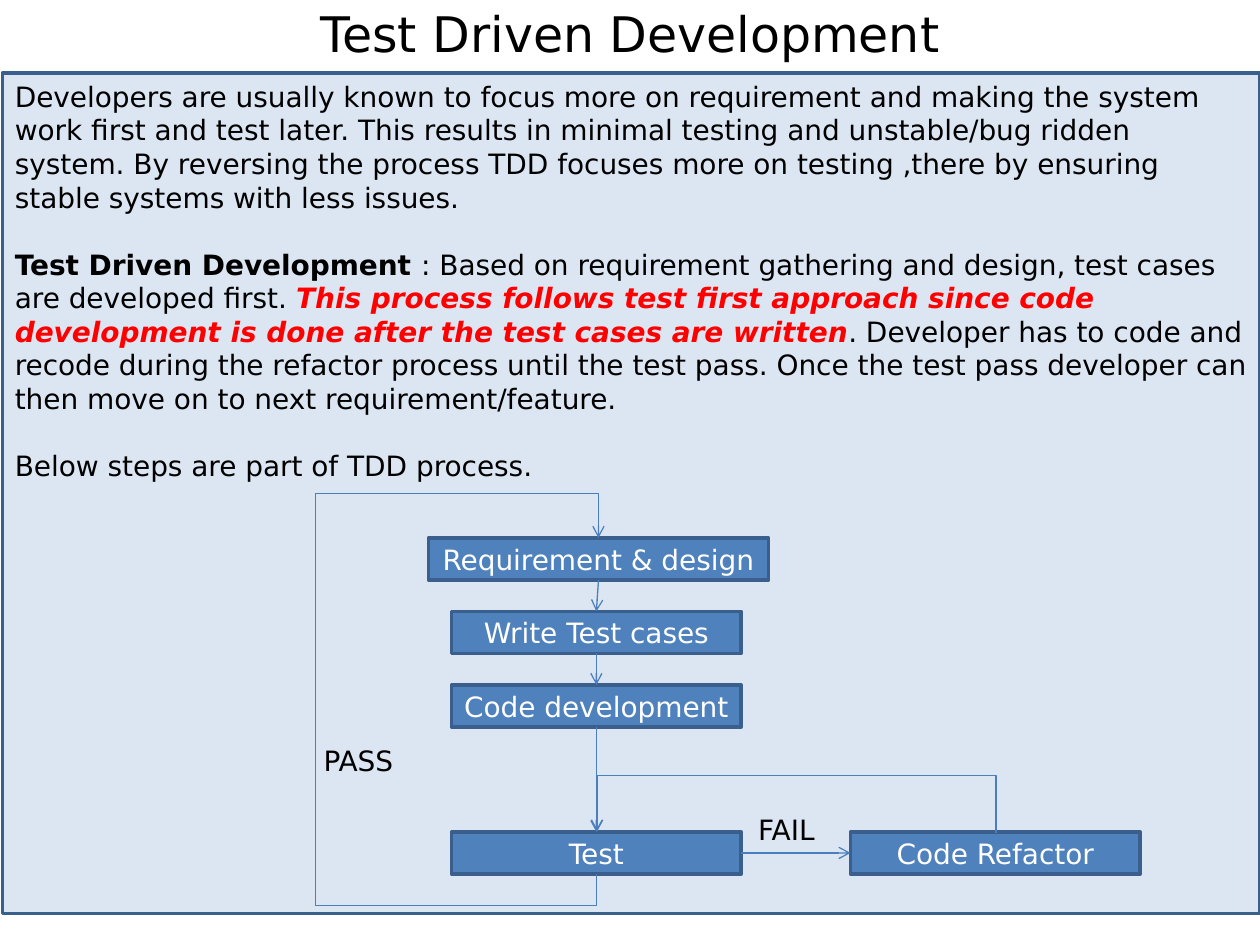
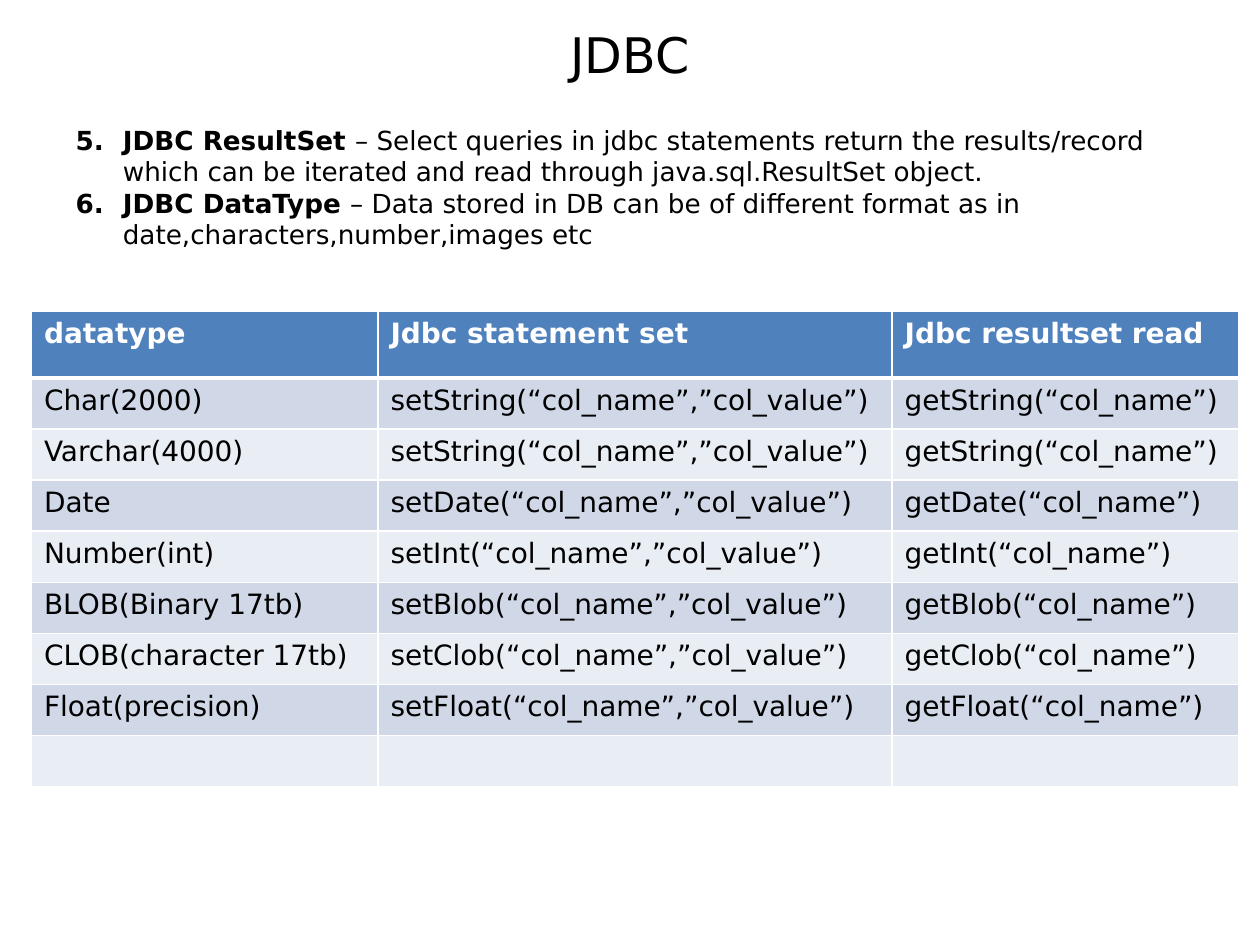
from dataclasses import dataclass

import pptx
import pptx.dml.color
import pptx.enum.shapes
import pptx.enum.text
import pptx.oxml
import pptx.oxml.ns
import pptx.util

Pt = pptx.util.Pt
Rgb = pptx.dml.color.RGBColor.from_string
Align = pptx.enum.text.PP_ALIGN
Anchor = pptx.enum.text.MSO_ANCHOR
Fit = pptx.enum.text.MSO_AUTO_SIZE
Link = pptx.enum.shapes.MSO_CONNECTOR
qn = pptx.oxml.ns.qn
TOP, LEFT, BOTTOM, RIGHT = range(4)


@dataclass(frozen=True)
class Theme:
    font: str = "DejaVu Sans"
    black: str = "000000"
    white: str = "FFFFFF"
    red: str = "FF0000"
    blue: str = "4F81BD"
    edge: str = "3A5F8C"
    arrow: str = "4B7EBC"
    panel: str = "DCE6F2"
    bands: tuple = ("D0D8E8", "E9EDF4")
    title: float = 28
    text: float = 16
    list: float = 15


THEME = Theme()

INTRO = [
    [("Developers are usually known to focus more on requirement and making the "
      "system work first and test later. This results in minimal testing and "
      "unstable/bug ridden system. By reversing the process TDD focuses more on "
      "testing ,there by ensuring stable systems with less issues.", {})],
    [("Test Driven Development ", {"bold": True}),
     (": Based on requirement gathering and design, test cases are developed first. ", {}),
     ("This process follows test first approach since code development is done "
      "after the test cases are written",
      {"color": THEME.red, "bold": True, "slant": True}),
     (". Developer has to code and recode during the refactor process until the "
      "test pass. Once the test pass developer can then move on to next "
      "requirement/feature.", {})],
    [("Below steps are part of TDD process.", {})],
]

TOPICS = [
    ("JDBC ResultSet ",
     "– Select queries in jdbc statements return the results/record which can be "
     "iterated and read through java.sql.ResultSet object."),
    ("JDBC DataType ",
     "– Data stored in DB can be of different format as in "
     "date,characters,number,images etc"),
]

HEADS = ("datatype", "Jdbc statement set", "Jdbc resultset read")
TYPES = [
    ("Char(2000)", "String"),
    ("Varchar(4000)", "String"),
    ("Date", "Date"),
    ("Number(int)", "Int"),
    ("BLOB(Binary 17tb)", "Blob"),
    ("CLOB(character 17tb)", "Clob"),
    ("Float(precision)", "Float"),
]


def points(*sizes):
    return [Pt(size) for size in sizes]


def add_run(para, text, size=THEME.text, color=THEME.black, bold=False, slant=False):
    run = para.add_run()
    run.text = text
    font = run.font
    font.name, font.size = THEME.font, Pt(size)
    font.bold, font.italic = bold, slant
    font.color.rgb = Rgb(color)


def next_para(frame, index):
    return frame.paragraphs[0] if index == 0 else frame.add_paragraph()


def move(shape, *place):
    shape.left, shape.top, shape.width, shape.height = points(*place)


def new_slide(deck, layout, title, top):
    slide = deck.slides.add_slide(deck.slide_layouts.get_by_name(layout))
    head = slide.shapes.title
    move(head, 36, top, 648, 56.2)
    frame = head.text_frame
    frame.auto_size = Fit.NONE
    frame.vertical_anchor = Anchor.MIDDLE
    para = frame.paragraphs[0]
    para.alignment = Align.CENTER
    add_run(para, title, THEME.title)
    return slide


def add_box(slide, place, fill):
    box = slide.shapes.add_shape(
        pptx.enum.shapes.MSO_SHAPE.RECTANGLE, *points(*place))
    box.shadow.inherit = False
    box.fill.solid()
    box.fill.fore_color.rgb = Rgb(fill)
    box.line.color.rgb = Rgb(THEME.edge)
    box.line.width = Pt(2)
    return box


def add_panel(slide, place, paras):
    frame = add_box(slide, place, THEME.panel).text_frame
    frame.word_wrap = True
    frame.vertical_anchor = Anchor.TOP
    for index, runs in enumerate(paras):
        para = next_para(frame, index)
        para.alignment = Align.LEFT
        para.space_before = Pt(19.1 if index else 0)
        for text, style in runs:
            add_run(para, text, **style)


def add_step(slide, text, left, top, width=165.6):
    box = add_box(slide, (left, top, width, 24), THEME.blue)
    box.text_frame.vertical_anchor = Anchor.MIDDLE
    para = box.text_frame.paragraphs[0]
    para.alignment = Align.CENTER
    add_run(para, text, color=THEME.white)
    return box


def add_label(slide, text, *place):
    frame = slide.shapes.add_textbox(*points(*place)).text_frame
    frame.word_wrap = False
    frame.auto_size = Fit.SHAPE_TO_FIT_TEXT
    add_run(frame.paragraphs[0], text)


def add_arrow(slide, kind, *ends):
    arrow = slide.shapes.add_connector(kind, *points(*ends))
    arrow.line.color.rgb = Rgb(THEME.arrow)
    arrow.line.width = Pt(0.75)
    pptx.oxml.ns  # namespace map used by qn
    line = arrow.line._get_or_add_ln()
    line.append(line.makeelement(qn("a:tailEnd"), {"type": "arrow"}))
    props = arrow._element.spPr
    props.append(props.makeelement(qn("a:effectLst"), {}))
    return arrow


def join(slide, start, side, end, other):
    arrow = add_arrow(slide, Link.STRAIGHT, 0, 0, 0, 0)
    arrow.begin_connect(start, side)
    arrow.end_connect(end, other)


def add_loop(slide, start, end, lanes, turn, flips):
    """Draw a bent arrow that leaves upright; lanes are y, x, y ... in turn."""
    (x1, y1), (x2, y2) = start, end
    wide, high = abs(y2 - y1), abs(x2 - x1)
    left, top = (x1 + x2 - wide) / 2, (y1 + y2 - high) / 2
    arrow = add_arrow(slide, Link.ELBOW, left, top, left + wide, top + high)
    props = arrow._element.spPr
    frame = props.find(qn("a:xfrm"))
    frame.set("rot", str(turn * 60000))
    for flip in flips:
        frame.set(flip, "1")
    shape = props.find(qn("a:prstGeom"))
    shape.set("prst", f"bentConnector{len(lanes) + 2}")
    guides = shape.find(qn("a:avLst"))
    for index, lane in enumerate(lanes):
        first, last = (x1, x2) if index % 2 else (y1, y2)
        share = round((lane - first) / (last - first) * 100000)
        guides.append(guides.makeelement(
            qn("a:gd"), {"name": f"adj{index + 1}", "fmla": f"val {share}"}))


def add_list(slide, items, first):
    body = slide.placeholders[1]
    move(body, 36, 48.2, 648, 450)
    frame = body.text_frame
    frame.auto_size = Fit.NONE
    frame.vertical_anchor = Anchor.TOP
    frame.margin_top = Pt(22.6)
    for index, (name, text) in enumerate(items):
        para = next_para(frame, index)
        para.space_before = Pt(0)
        props = para._p.get_or_add_pPr()
        props.set("marL", str(Pt(27)))
        props.set("indent", str(Pt(-27)))
        props.append(props.makeelement(
            qn("a:buAutoNum"), {"type": "arabicPeriod", "startAt": str(first)}))
        add_run(para, name, THEME.list, bold=True)
        add_run(para, text, THEME.list)


def add_edge(props, side, width):
    line = props.makeelement(qn(f"a:ln{side}"), {"w": str(Pt(width))})
    fill = line.makeelement(qn("a:solidFill"), {})
    fill.append(fill.makeelement(qn("a:srgbClr"), {"val": THEME.white}))
    line.append(fill)
    props.append(line)


def fill_cell(cell, text, row):
    head = row == 0
    props = cell._tc.get_or_add_tcPr()
    for side in "LRTB":
        thick = (head and side == "B") or (row == 1 and side == "T")
        add_edge(props, side, 3 if thick else 1)
    cell.fill.solid()
    cell.fill.fore_color.rgb = Rgb(THEME.blue if head else THEME.bands[(row - 1) % 2])
    if text:
        add_run(cell.text_frame.paragraphs[0], text,
                color=THEME.white if head else THEME.black, bold=head)


def add_grid(slide, rows, widths, left, top):
    heights = [38.2] + [29.2] * (len(rows) - 1)
    grid = slide.shapes.add_table(
        len(rows), len(widths),
        *points(left, top, sum(widths), sum(heights))).table
    for column, width in zip(grid.columns, widths):
        column.width = Pt(width)
    for index, (row, height) in enumerate(zip(rows, heights)):
        grid.rows[index].height = Pt(height)
        for column, text in enumerate(row):
            fill_cell(grid.cell(index, column), text, index)


def draw_cycle(deck):
    slide = new_slide(deck, "Title Only", "Test Driven Development", -9.4)
    add_panel(slide, (1.4, 41.8, 718.6, 480.2), INTRO)

    design = add_step(slide, "Requirement & design", 244.8, 307.4, 194.4)
    cases = add_step(slide, "Write Test cases", 258, 349.4)
    code = add_step(slide, "Code development", 258, 391.4)
    test = add_step(slide, "Test", 258, 475.4)
    fix = add_step(slide, "Code Refactor", 486, 475.4)

    for upper, lower in ((design, cases), (cases, code), (code, test)):
        join(slide, upper, BOTTOM, lower, TOP)
    add_loop(slide, (340.8, 499.4), (342, 307.4), (517.6, 179.2, 282),
             90, ("flipH", "flipV"))
    join(slide, test, RIGHT, fix, LEFT)
    add_loop(slide, (569.2, 476.2), (341.2, 475.2), (442.8,), 270, ("flipV",))

    add_label(slide, "PASS", 177.8, 421.2, 56.9, 26.6)
    add_label(slide, "FAIL", 426.2, 460.8, 49.7, 26.6)


def draw_types(deck):
    slide = new_slide(deck, "Title and Content", "JDBC", 2.9)
    add_list(slide, TOPICS, 5)
    calls = [(name, f"set{kind}(“col_name”,”col_value”)", f"get{kind}(“col_name”)")
             for name, kind in TYPES]
    add_grid(slide, [HEADS, *calls, ("", "", "")], (198, 293.8, 198), 18, 177.8)


def main():
    deck = pptx.Presentation()
    deck.slide_width, deck.slide_height = points(720, 540)
    draw_cycle(deck)
    draw_types(deck)
    deck.save("out.pptx")


if __name__ == "__main__":
    main()
